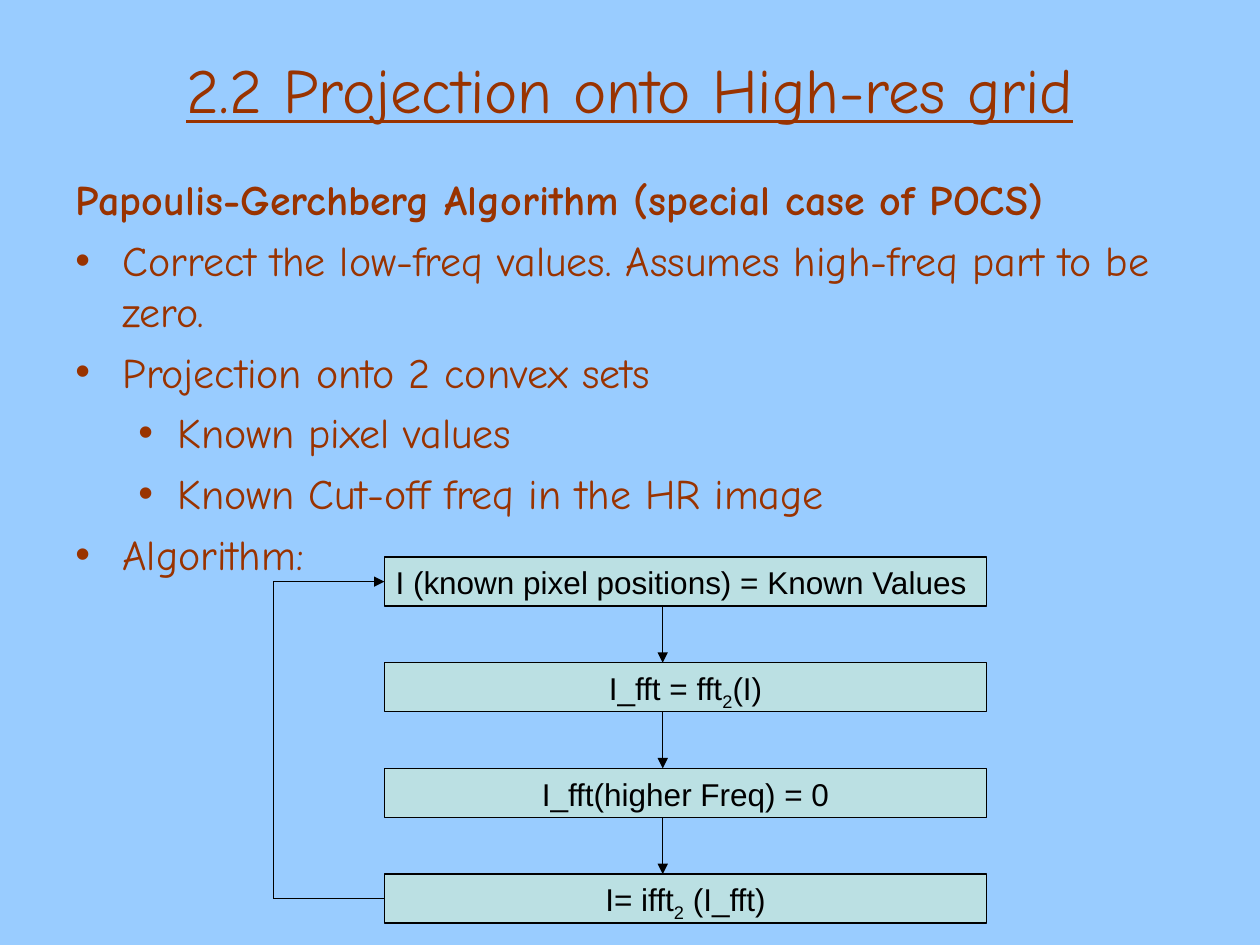
from dataclasses import dataclass

from lxml.etree import SubElement
from pptx import Presentation
from pptx.dml.color import RGBColor as RGB
from pptx.enum.shapes import MSO_CONNECTOR as LINK, MSO_SHAPE as SHAPE
from pptx.enum.text import MSO_ANCHOR as ANCHOR, PP_ALIGN as ALIGN
from pptx.oxml.ns import qn
from pptx.util import Cm, Pt


@dataclass(frozen=True)
class Theme:
    sky: str = "99CCFF"
    rust: str = "993300"
    teal: str = "BBE0E3"
    ink: str = "000000"
    hand: str = "Comic Neue"
    sans: str = "Arial"
    head: int = 36
    body: int = 24
    step: int = 18
    rule: float = 0.75


look = Theme()


def write(para, text, size=look.body, font=look.hand, color=look.rust,
          bold=False, line=False, align=ALIGN.LEFT, level=0, gap=0,
          left=0, hang=0, bullet=False):
    """Fill a paragraph; every second part between bars is a subscript."""
    para.alignment, para.level, para.space_before = align, level, Pt(gap)
    props = para._p.get_or_add_pPr()
    props.set("marL", str(Cm(left)))
    props.set("indent", str(-Cm(hang)))
    if bullet:
        tint = SubElement(props, qn("a:buClr"))
        SubElement(tint, qn("a:srgbClr"), val=color)
        SubElement(props, qn("a:buFont"), typeface=look.sans)
        SubElement(props, qn("a:buChar"), char="•")
    else:
        SubElement(props, qn("a:buNone"))
    for i, part in enumerate(text.split("|")):
        run = para.add_run()
        run.text = part
        run.font.size, run.font.name = Pt(size), font
        run.font.bold, run.font.underline = bold, line
        run.font.color.rgb = RGB.from_string(color)
        if i % 2:
            run.font._element.set("baseline", "-25000")


def link(group, start, end, arrow=True):
    """Draw a straight line, with an arrowhead at its end if wanted."""
    wire = group.shapes.add_connector(
        LINK.STRAIGHT, *(Cm(n) for n in (*start, *end)))
    wire.line.color.rgb = RGB.from_string(look.ink)
    wire.line.width = Pt(look.rule)
    if arrow:
        SubElement(wire.line._get_or_add_ln(), qn("a:tailEnd"), type="triangle")
    SubElement(wire._element.spPr, qn("a:effectLst"))


# Slide
deck = Presentation()
deck.slide_width, deck.slide_height = Cm(25.4), Cm(19.05)
slide = deck.slides.add_slide(deck.slide_layouts[6])
slide.background.fill.solid()
slide.background.fill.fore_color.rgb = RGB.from_string(look.sky)

# Flow chart boxes
left, top, width, height, pitch = 7.75, 11.23, 12.14, 0.99, 2.13
steps = [
    "I (known pixel positions) = Known Values ",
    "I_fft = fft|2|(I)",
    "I_fft(higher Freq) = 0",
    "I= ifft|2| (I_fft)",
]
flow = slide.shapes.add_group_shape()
for i, text in enumerate(steps):
    box = flow.shapes.add_shape(SHAPE.RECTANGLE, Cm(left), Cm(top + i * pitch),
                                Cm(width), Cm(height))
    box.shadow.inherit = False
    box.fill.solid()
    box.fill.fore_color.rgb = RGB.from_string(look.teal)
    box.line.color.rgb = RGB.from_string(look.ink)
    box.line.width = Pt(look.rule)
    frame = box.text_frame
    frame.word_wrap, frame.vertical_anchor = False, ANCHOR.TOP
    write(frame.paragraphs[0], text, size=look.step, font=look.sans,
          color=look.ink, align=ALIGN.CENTER)

# Arrows down from box to box
axis = 13.36
for i in range(len(steps) - 1):
    base = top + i * pitch
    link(flow, (axis, base + height), (axis, base + pitch))

# Loop from the last box back to the first
side, first = 5.51, top + height / 2
last = first + (len(steps) - 1) * pitch
link(flow, (left, last), (side, last), arrow=False)
link(flow, (side, last), (side, first), arrow=False)
link(flow, (side, first), (left, first))

# Title
title = slide.shapes.add_textbox(Cm(1.27), Cm(0.2), Cm(22.86), Cm(3.18))
frame = title.text_frame
frame.word_wrap, frame.vertical_anchor = True, ANCHOR.MIDDLE
write(frame.paragraphs[0], "2.2 Projection onto High-res grid",
      size=look.head, line=True, align=ALIGN.CENTER)

# Body text
body = slide.shapes.add_textbox(Cm(1.27), Cm(3.38), Cm(22.86), Cm(2.97))
frame = body.text_frame
frame.word_wrap = True
write(frame.paragraphs[0], "Papoulis-Gerchberg Algorithm (special case of POCS)",
      bold=True, left=0.95, hang=0.95)
points = [
    (0, "Correct the low-freq values. Assumes high-freq part to be zero."),
    (0, "Projection onto 2 convex sets"),
    (1, "Known pixel values"),
    (1, "Known Cut-off freq in the HR image"),
    (0, "Algorithm:"),
]
dents = [(0.95, 0.95), (2.06, 0.79)]
for level, text in points:
    start, hang = dents[level]
    write(frame.add_paragraph(), text, level=level, gap=6,
          left=start, hang=hang, bullet=True)

deck.save("out.pptx")
